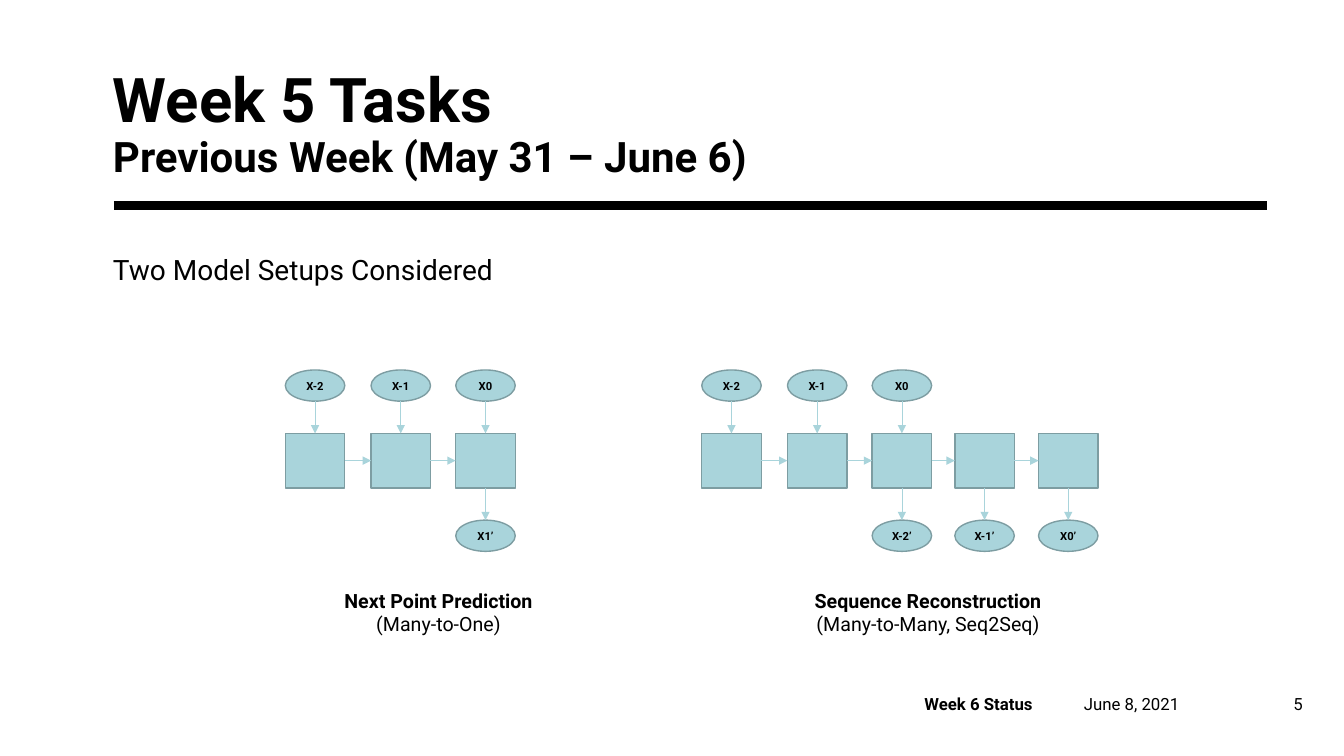
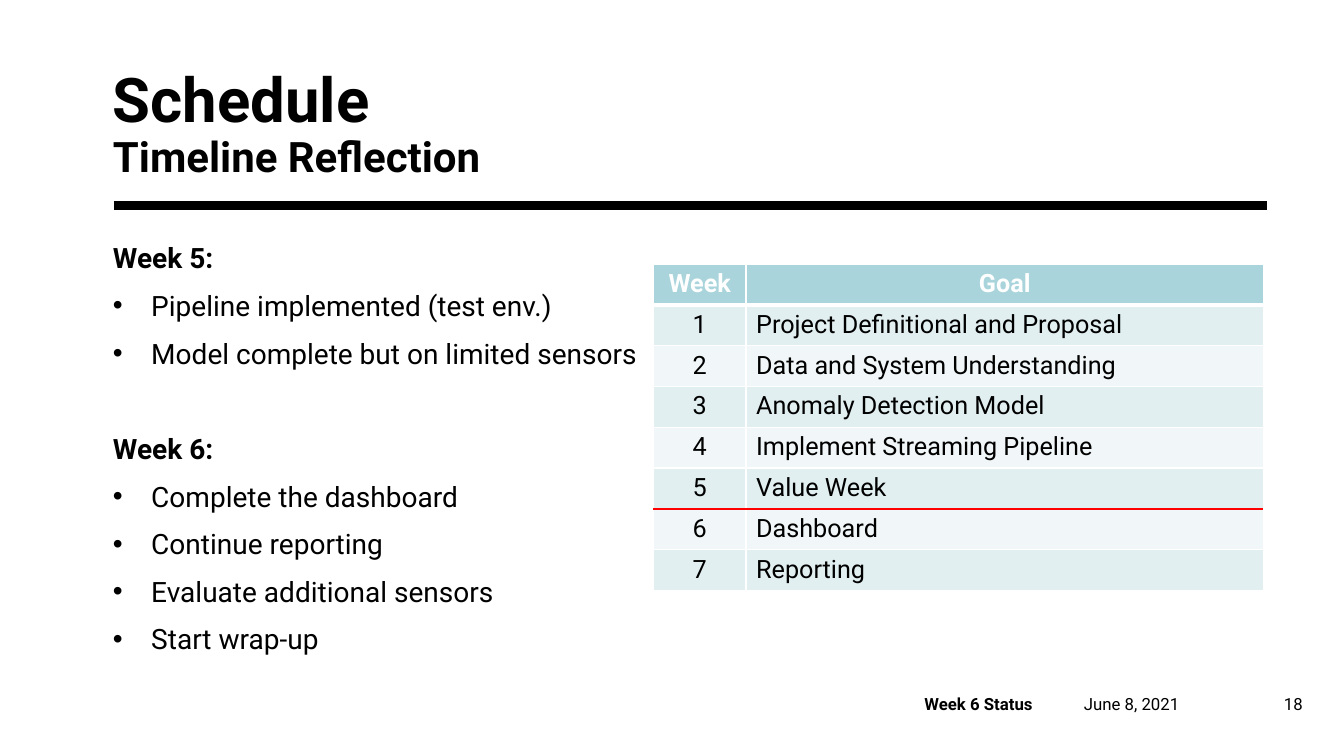
from lxml.etree import SubElement
from pptx import Presentation
from pptx.dml.color import RGBColor
from pptx.enum.shapes import MSO_CONNECTOR, MSO_SHAPE
from pptx.enum.text import MSO_ANCHOR, MSO_AUTO_SIZE, PP_ALIGN
from pptx.oxml import parse_xml
from pptx.oxml.ns import nsdecls, qn
from pptx.util import Inches, Pt

FONT = "Roboto"
BLACK = RGBColor(0x00, 0x00, 0x00)
WHITE = RGBColor(0xFF, 0xFF, 0xFF)
RED = RGBColor(0xFF, 0x00, 0x00)
TEAL = RGBColor(0xA9, 0xD4, 0xDB)
TEAL_EDGE = RGBColor(0x7D, 0x9D, 0xA2)
ROW_DARK = RGBColor(0xE2, 0xEF, 0xF1)
ROW_LIGHT = RGBColor(0xF1, 0xF7, 0xF8)

COLUMN_OFFSETS = (0, 0.85, 1.69, 2.51, 3.34)
NODE_WIDTH = 0.59
CELL_HEIGHT = 0.54
OVAL_HEIGHT = 0.31
NODE_GAP = 0.32
BULLET_INDENT = 0.38

GOALS = ("Project Definitional and Proposal", "Data and System Understanding",
         "Anomaly Detection Model", "Implement Streaming Pipeline",
         "Value Week", "Dashboard", "Reporting")


def write(para, text, size=20, bold=False, color=BLACK, align=PP_ALIGN.LEFT, before=0):
    """Append a formatted span to a paragraph."""
    para.alignment = align
    para.space_before = Pt(before)
    span = para.add_run()
    span.text = text
    span.font.name = FONT
    span.font.size = Pt(size)
    span.font.bold = bold
    span.font.color.rgb = color


def place(shape, left, top, width, height):
    """Move and size a shape, in inches."""
    shape.left, shape.top = Inches(left), Inches(top)
    shape.width, shape.height = Inches(width), Inches(height)


def clear_insets(frame):
    """Remove the inner margins of a text frame."""
    frame.margin_left = frame.margin_right = frame.margin_top = frame.margin_bottom = 0


def add_box(page, left, top, width, height, anchor=MSO_ANCHOR.TOP):
    """Add a wrapping text box and return its frame."""
    box = page.shapes.add_textbox(Inches(left), Inches(top), Inches(width), Inches(height))
    box.text_frame.word_wrap = True
    box.text_frame.vertical_anchor = anchor
    return box.text_frame


def add_line(page, start, end, color, width, arrow=False):
    """Draw a straight line, with an optional arrowhead at its end."""
    line = page.shapes.add_connector(
        MSO_CONNECTOR.STRAIGHT, *(Inches(value) for value in (*start, *end)))
    line.line.color.rgb = color
    line.line.width = Pt(width)
    if arrow:
        SubElement(line.line._get_or_add_ln(), qn("a:tailEnd"), type="triangle")
    SubElement(line._element.spPr, qn("a:effectLst"))


def add_page(deck, title, subtitle, number):
    """Add a slide with the shared title, rule and footer."""
    page = deck.slides.add_slide(deck.slide_layouts[1])
    place(page.shapes.title, 1.12, 0.42, 11.03, 1.38)
    frame = page.shapes.title.text_frame
    frame.vertical_anchor = MSO_ANCHOR.BOTTOM
    frame.auto_size = MSO_AUTO_SIZE.NONE
    clear_insets(frame)
    para = frame.paragraphs[0]
    para.line_spacing = 0.9
    write(para, title, size=44, bold=True)
    para.add_line_break()
    write(para, subtitle, size=30, bold=True)
    add_line(page, (1.13, 2.04), (12.57, 2.04), BLACK, 6)

    date = add_box(page, 10.75, 6.88, 1.67, 0.2, MSO_ANCHOR.MIDDLE)
    date.margin_left = date.margin_right = 0
    write(date.paragraphs[0], "June 8, 2021", size=12)
    status = add_box(page, 9.07, 6.88, 1.6, 0.2, MSO_ANCHOR.MIDDLE)
    write(status.paragraphs[0], "Week 6 Status", size=12, bold=True)
    counter = add_box(page, 12.57, 6.88, 0.45, 0.2, MSO_ANCHOR.MIDDLE)
    write(counter.paragraphs[0], str(number), size=12, align=PP_ALIGN.RIGHT)
    return page


def set_bullet(para, shown):
    """Switch the bullet and hanging indent of a paragraph."""
    indent = Inches(BULLET_INDENT) if shown else 0
    properties = para._p.get_or_add_pPr()
    properties.set("marL", str(indent))
    properties.set("indent", str(-indent))
    if shown:
        SubElement(properties, qn("a:buFont"), typeface="Arial")
        SubElement(properties, qn("a:buChar"), char="•")
    else:
        SubElement(properties, qn("a:buNone"))


def fill_body(page, left, top, width, height, items):
    """Fill the body placeholder from (text, is_heading, space_before) items."""
    body = page.placeholders[1]
    place(body, left, top, width, height)
    frame = body.text_frame
    frame.auto_size = MSO_AUTO_SIZE.NONE
    clear_insets(frame)
    for index, (text, bulleted, bold, before) in enumerate(items):
        para = frame.add_paragraph() if index else frame.paragraphs[0]
        write(para, text, bold=bold, before=before)
        set_bullet(para, bulleted)


def add_node(page, kind, left, top, height, label=""):
    """Add one cell or oval of a model diagram."""
    node = page.shapes.add_shape(
        kind, Inches(left), Inches(top), Inches(NODE_WIDTH), Inches(height))
    node.shadow.inherit = False
    node.fill.solid()
    node.fill.fore_color.rgb = TEAL
    node.line.color.rgb = TEAL_EDGE
    node.line.width = Pt(1)
    if label:
        frame = node.text_frame
        frame.word_wrap = False
        frame.vertical_anchor = MSO_ANCHOR.MIDDLE
        write(frame.paragraphs[0], label, size=8, bold=True, align=PP_ALIGN.CENTER)


def add_model(page, left, top, inputs, outputs):
    """Draw a chain of cells with input ovals above and output ovals below."""
    cell_top = top + OVAL_HEIGHT + NODE_GAP
    cell_bottom = cell_top + CELL_HEIGHT
    output_top = cell_bottom + NODE_GAP
    middle = cell_top + CELL_HEIGHT / 2
    first_output = len(inputs) - 1
    columns = [left + offset for offset in COLUMN_OFFSETS[:first_output + len(outputs)]]

    for column in columns:
        add_node(page, MSO_SHAPE.RECTANGLE, column, cell_top, CELL_HEIGHT)
    for column, following in zip(columns, columns[1:]):
        add_line(page, (column + NODE_WIDTH, middle), (following, middle), TEAL, 0.5, arrow=True)

    rows = ((columns, inputs, top, top + OVAL_HEIGHT),
            (columns[first_output:], outputs, output_top, cell_bottom))
    for places, labels, oval_top, arrow_top in rows:
        for column, label in zip(places, labels):
            center = column + NODE_WIDTH / 2
            add_node(page, MSO_SHAPE.OVAL, column, oval_top, OVAL_HEIGHT, label)
            add_line(page, (center, arrow_top), (center, arrow_top + NODE_GAP),
                     TEAL, 0.5, arrow=True)


def add_caption(page, left, top, width, name, detail):
    """Add a centred two-line caption."""
    frame = add_box(page, left, top, width, 0.57)
    write(frame.paragraphs[0], name, size=14, bold=True, align=PP_ALIGN.CENTER)
    write(frame.add_paragraph(), detail, size=14, align=PP_ALIGN.CENTER)


def set_borders(cell, top, bottom):
    """Give a cell white borders of the given top and bottom widths."""
    properties = cell._tc.get_or_add_tcPr()
    sides = (("lnL", 1), ("lnR", 1), ("lnT", top), ("lnB", bottom))
    for position, (side, width) in enumerate(sides):
        properties.insert(position, parse_xml(
            f'<a:{side} {nsdecls("a")} w="{Pt(width)}"><a:solidFill>'
            f'<a:srgbClr val="{WHITE}"/></a:solidFill></a:{side}>'))


def add_schedule(page, left, top, width, height, goals, done):
    """Add the table of weekly goals with a line below the weeks done."""
    rows = [("Week", "Goal")] + [(str(week), goal) for week, goal in enumerate(goals, 1)]
    row_height = height / len(rows)
    table = page.shapes.add_table(
        len(rows), 2, Inches(left), Inches(top), Inches(width), Inches(height)).table
    week_width = 0.92
    table.columns[0].width = Inches(week_width)
    table.columns[1].width = Inches(width - week_width)
    for row, texts in enumerate(rows):
        table.rows[row].height = Inches(row_height)
        header = row == 0
        shade = TEAL if header else ROW_DARK if row % 2 else ROW_LIGHT
        for column, text in enumerate(texts):
            cell = table.cell(row, column)
            cell.fill.solid()
            cell.fill.fore_color.rgb = shade
            set_borders(cell, top=3 if row == 1 else 1, bottom=3 if header else 1)
            centred = header or column == 0
            write(cell.text_frame.paragraphs[0], text, size=18, bold=header,
                  color=WHITE if header else BLACK,
                  align=PP_ALIGN.CENTER if centred else PP_ALIGN.LEFT)
    line_top = top + row_height * (done + 1)
    add_line(page, (left, line_top), (left + width, line_top), RED, 2)


def build_models_page(deck):
    """Build the slide that compares the two model setups."""
    page = add_page(deck, "Week 5 Tasks", "Previous Week (May 31 – June 6)", 5)
    fill_body(page, 1.12, 2.5, 4.79, 0.5, [("Two Model Setups Considered", False, False, 10)])
    inputs = ("X-2", "X-1", "X0")
    add_model(page, 6.96, 3.67, inputs, ("X-2’", "X-1’", "X0’"))
    add_model(page, 2.83, 3.67, inputs, ("X1’",))
    add_caption(page, 3.13, 5.79, 2.44, "Next Point Prediction", "(Many-to-One)")
    add_caption(page, 7.81, 5.79, 2.79, "Sequence Reconstruction", "(Many-to-Many, Seq2Seq)")


def build_schedule_page(deck):
    """Build the slide with the weekly reflection and the goals."""
    page = add_page(deck, "Schedule", "Timeline Reflection", 18)
    weeks = (
        ("Week 5:", 10, ("Pipeline implemented (test env.)",
                         "Model complete but on limited sensors")),
        ("Week 6:", 44, ("Complete the dashboard", "Continue reporting",
                         "Evaluate additional sensors", "Start wrap-up")),
    )
    items = []
    for heading, before, tasks in weeks:
        items.append((heading, False, True, before))
        items.extend((task, True, False, 10) for task in tasks)
    fill_body(page, 1.12, 2.39, 5.39, 4.4, items)
    add_schedule(page, 6.48, 2.62, 6.05, 3.24, GOALS, done=5)


def main():
    """Build and save the deck."""
    deck = Presentation()
    deck.slide_width, deck.slide_height = Inches(13.33), Inches(7.5)
    build_models_page(deck)
    build_schedule_page(deck)
    deck.save("out.pptx")


if __name__ == "__main__":
    main()
